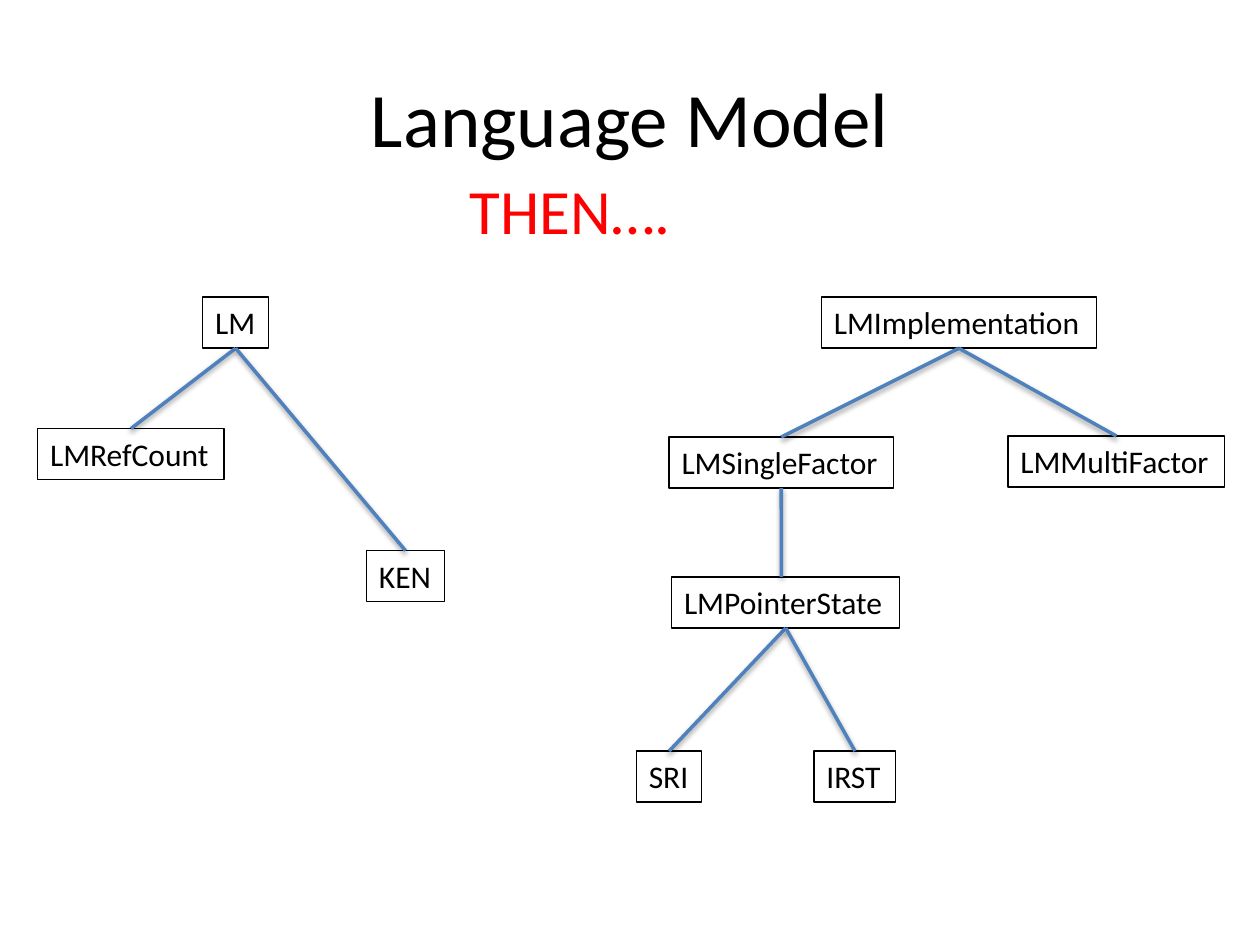
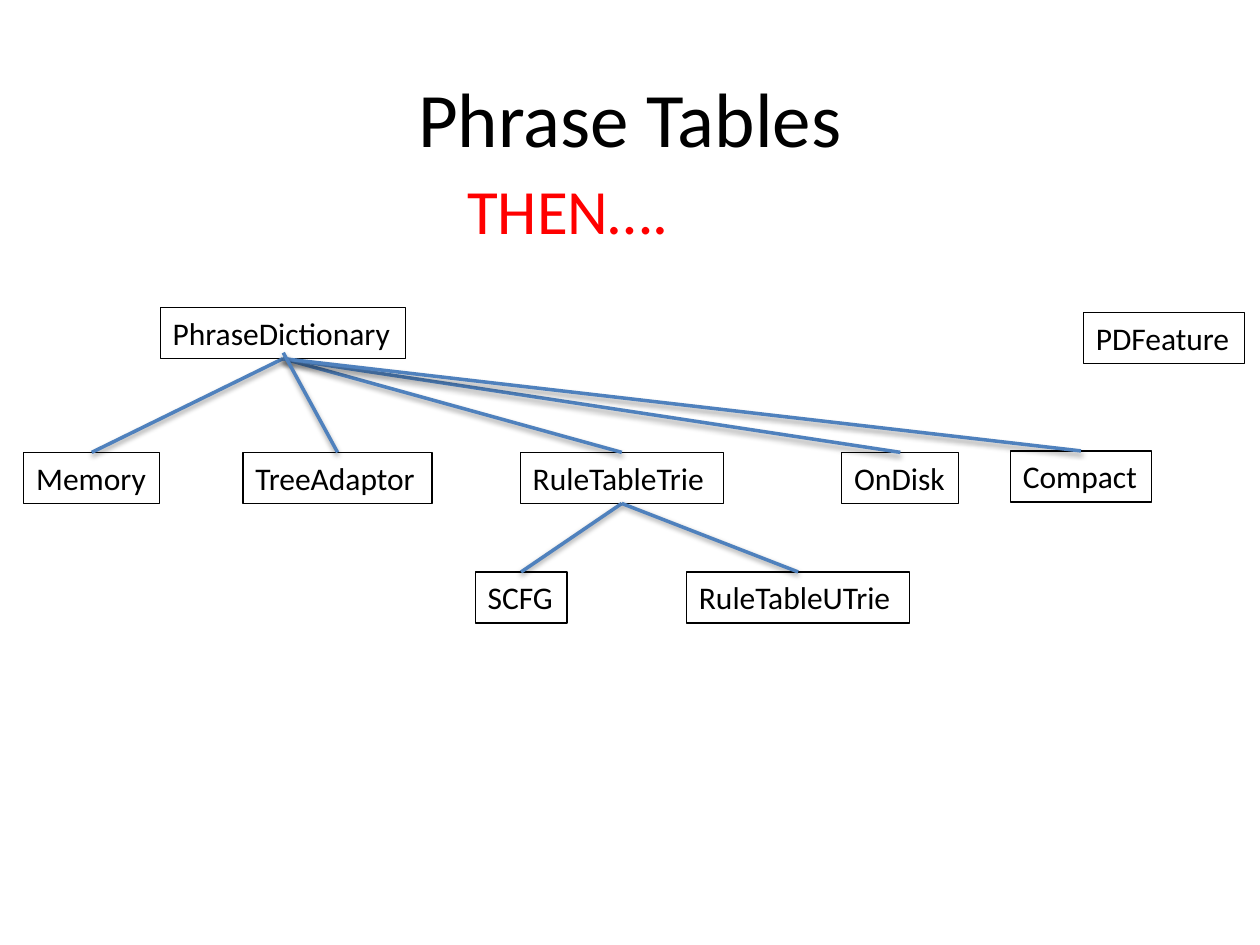
from lxml.etree import SubElement
from pptx import Presentation
from pptx.dml.color import RGBColor
from pptx.enum.shapes import MSO_CONNECTOR, MSO_SHAPE
from pptx.enum.text import MSO_ANCHOR, PP_ALIGN
from pptx.oxml.ns import qn
from pptx.util import Cm, Pt

BLACK = RGBColor(0x00, 0x00, 0x00)
RED = RGBColor(0xFF, 0x00, 0x00)
BLUE = RGBColor(0x4F, 0x81, 0xBD)
FONT = "Calibri"
BOX_HIGH = 1.03
TOP, BOTTOM = 0, 2

MODEL = {
    "LM": (4.09, 5.99, 1.32),
    "LMRefCount": (0.76, 8.64, 3.76),
    "KEN": (7.39, 11.1, 1.57),
    "LMImplementation": (16.56, 5.99, 5.54),
    "LMSingleFactor": (13.49, 8.81, 4.52),
    "LMMultiFactor": (20.32, 8.79, 4.37),
    "LMPointerState": (13.54, 11.63, 4.6),
    "SRI": (12.83, 15.14, 1.32),
    "IRST": (16.41, 15.14, 1.65),
}
MODEL_TREE = {
    "LM": ["LMRefCount", "KEN"],
    "LMImplementation": ["LMSingleFactor", "LMMultiFactor"],
    "LMPointerState": ["SRI", "IRST"],
}
PHRASE = {
    "PhraseDictionary": (3.23, 6.2, 4.95),
    "PDFeature": (21.84, 6.3, 3.25),
    "Memory": (0.48, 9.12, 2.74),
    "TreeAdaptor": (4.9, 9.12, 3.81),
    "RuleTableTrie": (10.49, 9.12, 4.09),
    "OnDisk": (16.97, 9.12, 2.36),
    "Compact": (20.37, 9.09, 2.84),
    "SCFG": (9.58, 11.53, 1.85),
    "RuleTableUTrie": (13.84, 11.53, 4.5),
}
PHRASE_TREE = {
    "PhraseDictionary": ["Memory", "RuleTableTrie", "OnDisk", "Compact"],
    "RuleTableTrie": ["SCFG", "RuleTableUTrie"],
}


def write(shape, text, size, color=BLACK, align=PP_ALIGN.LEFT, anchor=MSO_ANCHOR.TOP):
    """Put one styled paragraph into a shape."""
    frame = shape.text_frame
    frame.word_wrap = True
    frame.margin_right = 0
    frame.vertical_anchor = anchor
    para = frame.paragraphs[0]
    para.text = text
    para.alignment = align
    para.font.name = FONT
    para.font.size = Pt(size)
    para.font.color.rgb = color


def add_head(slide, title, left):
    """Add the title and the red line under it."""
    head = slide.shapes.add_textbox(Cm(1.27), Cm(0.76), Cm(22.86), Cm(3.18))
    write(head, title, 44, align=PP_ALIGN.CENTER, anchor=MSO_ANCHOR.MIDDLE)
    head.text_frame.margin_left = 0
    then = slide.shapes.add_textbox(Cm(left), Cm(3.33), Cm(4.6), Cm(1.8))
    write(then, "THEN….", 36, RED)


def add_box(slide, name, left, top, width):
    """Add an outlined class box."""
    box = slide.shapes.add_shape(
        MSO_SHAPE.RECTANGLE, Cm(left), Cm(top), Cm(width), Cm(BOX_HIGH))
    box.shadow.inherit = False
    box.fill.background()
    box.line.color.rgb = BLACK
    box.line.width = Pt(0.75)
    write(box, name, 18)
    return box


def add_shade(line):
    """Give a connector a soft shadow below it."""
    effect = SubElement(line._element.spPr, qn("a:effectLst"))
    shade = SubElement(effect, qn("a:outerShdw"), blurRad="40000",
                       dist="20000", dir="5400000", rotWithShape="0")
    color = SubElement(shade, qn("a:srgbClr"), val=str(BLACK))
    SubElement(color, qn("a:alpha"), val="38000")


def add_link(slide, base=None, child=None, start=(0, 0), end=(0, 0)):
    """Join two boxes, or leave an end loose at a given point."""
    points = [Cm(n) for n in (*start, *end)]
    line = slide.shapes.add_connector(MSO_CONNECTOR.STRAIGHT, *points)
    if base:
        line.begin_connect(base, BOTTOM)
    if child:
        line.end_connect(child, TOP)
    line.line.color.rgb = BLUE
    line.line.width = Pt(2)
    add_shade(line)


def add_tree(deck, title, left, places, tree):
    """Add a slide with a class tree and return it with its boxes."""
    slide = deck.slides.add_slide(deck.slide_layouts[6])
    add_head(slide, title, left)
    boxes = {name: add_box(slide, name, *place) for name, place in places.items()}
    for base, names in tree.items():
        for name in names:
            add_link(slide, boxes[base], boxes[name])
    return slide, boxes


def main():
    """Build and save the deck."""
    deck = Presentation()
    deck.slide_width, deck.slide_height = Cm(25.4), Cm(19.05)
    slide, boxes = add_tree(deck, "Language Model", 9.22, MODEL, MODEL_TREE)
    add_link(slide, base=boxes["LMSingleFactor"], end=(15.75, 11.63))
    slide, boxes = add_tree(deck, "Phrase Tables", 9.17, PHRASE, PHRASE_TREE)
    add_link(slide, child=boxes["TreeAdaptor"], start=(5.71, 7.11))
    deck.save("out.pptx")


if __name__ == "__main__":
    main()
